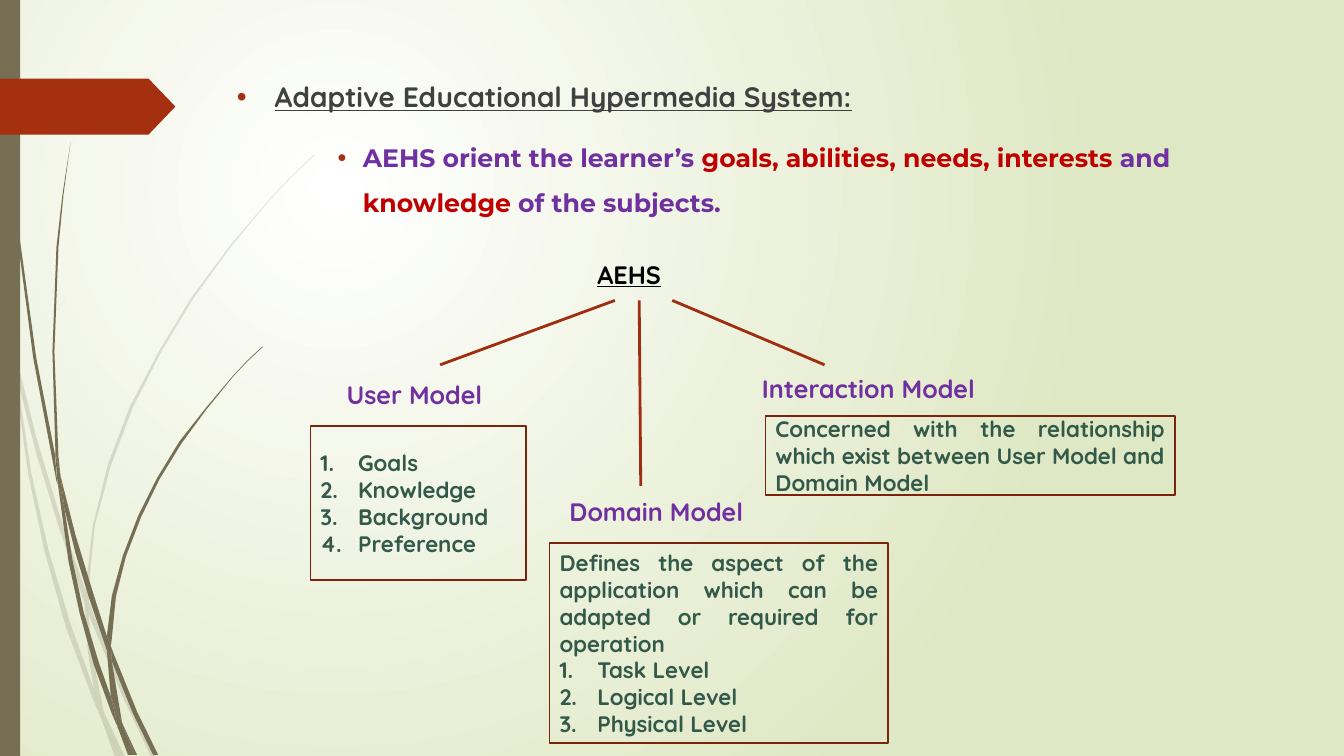
from typing import NamedTuple

from lxml.etree import SubElement
from pptx import Presentation
from pptx.dml.color import RGBColor
from pptx.enum.shapes import MSO_CONNECTOR, MSO_SHAPE
from pptx.enum.text import MSO_ANCHOR, MSO_AUTO_SIZE, PP_ALIGN
from pptx.oxml.ns import qn
from pptx.util import Pt

Point = tuple[float, float]

class Theme(NamedTuple):
    olive: str = "766F54"
    rust: str = "A53010"
    branch: str = "9E2E0F"
    border: str = "7A240C"
    purple: str = "7030A0"
    red: str = "C00000"
    green: str = "325949"
    grey: str = "404040"
    black: str = "000000"
    white: str = "FFFFFF"
    pale: str = "DFE8C4"
    display: str = "Quicksand"
    accent: str = "Montserrat"
    heading_size: float = 20
    label_size: float = 18
    box_size: float = 16

THEME = Theme()

class Label(NamedTuple):
    text: str
    left: float
    top: float
    width: float
    color: str = THEME.purple
    underline: bool = False

class Branch(NamedTuple):
    start: Point
    end: Point

class ModelBox(NamedTuple):
    left: float
    top: float
    width: float
    height: float
    intro: str = ""
    items: tuple[str, ...] = ()

# Grass blade outlines, in units of 0.72 pt
BLADE_UNIT = 0.72
FAINT_BLADES: list[list[Point]] = [
    [(11, 350), (9, 322), (0, 282), (0, 299), (10, 344)],
    [(58, 522), (84, 599), (85, 586), (62, 520), (36, 434), (14, 345), (17, 376), (36, 450)],
    [(92, 607), (88, 596), (88, 610), (123, 694), (150, 751), (155, 751), (127, 692)],
    [(119, 751), (124, 751), (105, 711)],
    [(93, 683), (70, 619), (48, 545), (31, 469), (17, 376), (11, 350), (28, 470), (44, 546), (65, 621),
     (92, 693), (101, 714), (99, 707)],
    [(84, 599), (87, 646), (93, 683), (96, 692), (105, 711), (103, 706), (91, 646), (88, 610), (88, 608)],
    [(88, 584), (94, 522), (110, 462), (132, 404), (160, 349), (192, 296), (229, 245), (268, 198), (290, 175),
     (312, 154), (312, 153), (289, 175), (268, 197), (228, 244), (190, 295), (158, 348), (129, 403), (107, 461),
     (92, 522), (85, 584), (85, 586), (88, 596)],
    [(101, 714), (114, 751), (119, 751)],
    [(88, 608), (88, 610), (88, 596), (85, 586), (84, 599)],
    [(96, 692), (93, 683), (99, 707), (101, 714), (119, 751), (105, 711)],
]
DARK_BLADES: list[list[Point]] = [
    [(7, 110), (17, 233), (33, 355), (56, 477), (57, 481), (55, 457), (55, 453), (36, 355), (19, 232), (8, 109),
     (5, 48), (4, 0), (3, 0), (4, 48)],
    [(88, 592), (106, 645), (106, 633), (106, 631), (93, 590), (75, 531), (60, 472), (64, 505), (75, 549)],
    [(113, 649), (110, 641), (111, 656), (132, 708), (152, 749), (157, 749), (136, 706)],
    [(110, 691), (98, 657), (83, 607), (72, 556), (64, 505), (57, 477), (68, 557), (79, 608), (93, 659),
     (111, 708), (117, 722), (116, 717)],
    [(60, 472), (58, 453), (54, 349), (58, 245), (63, 193), (70, 141), (62, 193), (56, 245), (52, 349), (55, 449)],
    [(133, 749), (136, 749), (122, 719)],
    [(57, 477), (64, 505), (60, 472), (55, 449), (55, 453)],
    [(111, 633), (115, 592), (125, 552), (140, 513), (158, 476), (180, 440), (205, 406), (231, 374), (245, 359),
     (261, 344), (260, 344), (245, 358), (231, 373), (204, 405), (178, 438), (156, 474), (137, 512), (122, 551),
     (111, 591), (106, 631), (110, 641)],
    [(117, 722), (127, 749), (131, 749)],
    [(106, 645), (110, 691), (116, 706), (122, 719), (121, 716), (111, 656), (109, 651)],
    [(106, 645), (109, 651), (111, 656), (110, 641), (106, 631)],
    [(116, 706), (110, 691), (116, 717), (117, 722), (130, 749), (133, 749), (122, 719)],
]
LABELS = [
    Label("AEHS", 419.6, 181.4, 176.4, THEME.black, True),
    Label("User Model", 240.5, 267.4, 115.9),
    Label("Domain Model", 399.6, 351, 147.6),
    Label("Interaction Model", 537.1, 263.1, 195.1),
]
BRANCHES = [
    Branch((439.2, 214.6), (314.4, 260.6)),
    Branch((456.6, 214.6), (457.7, 347)),
    Branch((480.2, 214.6), (589, 260.6)),
]
BOXES = [
    ModelBox(221.8, 304.2, 154.1, 110.2, items=("Goals", "Knowledge", "Background", "Preference")),
    ModelBox(392.6, 387.7, 241.9, 143.3,
             "Defines the aspect of the application which can be adapted or required for operation",
             ("Task Level", "Logical Level", "Physical Level")),
    ModelBox(546.8, 296.9, 292.3, 56.9,
             "Concerned with the relationship which exist between User Model and Domain Model"),
]

def rgb(color: str) -> RGBColor:
    return RGBColor.from_string(color)

def paint(shape, color: str) -> None:
    shape.shadow.inherit = False
    shape.fill.solid()
    shape.fill.fore_color.rgb = rgb(color)
    shape.line.fill.background()

def style(para, font: str, size: float, color: str, underline: bool = False) -> None:
    para.font.name, para.font.size, para.font.bold = font, Pt(size), True
    para.font.underline, para.font.color.rgb = underline, rgb(color)

def set_bullet(para, margin: float, hang: float, numbered: bool = False) -> None:
    props = para._p.get_or_add_pPr()
    props.set("marL", str(Pt(margin)))
    props.set("indent", str(-Pt(hang)))
    if numbered:
        SubElement(props, qn("a:buFont"), typeface="+mj-lt")
        SubElement(props, qn("a:buAutoNum"), type="arabicPeriod")
    else:
        SubElement(SubElement(props, qn("a:buClr")), qn("a:srgbClr"), val=THEME.rust)
        SubElement(props, qn("a:buFont"), typeface="Arial")
        SubElement(props, qn("a:buChar"), char="•")

def draw_background(page) -> None:
    fill = page.background.fill
    fill.gradient()
    for stop, color in zip(fill.gradient_stops, (THEME.white, THEME.pale)):
        stop.color.rgb = rgb(color)
    gradient = page.element.xpath("p:cSld/p:bg//a:gradFill")[0]
    gradient.remove(gradient.find(qn("a:lin")))
    circle = SubElement(gradient, qn("a:path"), path="circle")
    SubElement(circle, qn("a:fillToRect"), l="50000", t="50000", r="100000", b="100000")

def draw_blade(page, outline: list[Point], opacity: int) -> None:
    start, *rest = [(Pt(x * BLADE_UNIT), Pt(y * BLADE_UNIT)) for x, y in outline]
    builder = page.shapes.build_freeform(*start)
    builder.add_line_segments(rest, close=True)
    blade = builder.convert_to_shape()
    paint(blade, THEME.olive)
    if opacity < 100:
        color = blade._element.spPr.find(qn("a:solidFill"))[0]
        SubElement(color, qn("a:alpha"), val=str(opacity * 1000))

def fill_body(body) -> None:
    body.left, body.top, body.width, body.height = Pt(162), Pt(53.3), Pt(702), Pt(107.3)
    frame = body.text_frame
    frame.auto_size = MSO_AUTO_SIZE.NONE
    heading, detail = frame.paragraphs[0], frame.add_paragraph()
    heading.text = "Adaptive Educational Hypermedia System:"
    set_bullet(heading, 27, 27)
    style(heading, THEME.display, THEME.heading_size, THEME.grey, True)
    detail.level, detail.line_spacing = 1, 1.5
    set_bullet(detail, 90, 18)
    style(detail, THEME.accent, THEME.label_size, THEME.purple)
    heading.space_before = detail.space_before = Pt(10)
    for text, color in (("AEHS orient the learner’s ", THEME.purple), ("goals, abilities, needs, interests ", THEME.red),
                        ("and ", THEME.purple), ("knowledge", THEME.red), (" of the subjects.", THEME.purple)):
        span = detail.add_run()
        span.text, span.font.color.rgb = text, rgb(color)

def draw_label(page, label: Label) -> None:
    box = page.shapes.add_textbox(Pt(label.left), Pt(label.top), Pt(label.width), Pt(28.8))
    box.text_frame.word_wrap = True
    para = box.text_frame.paragraphs[0]
    para.text = label.text
    style(para, THEME.display, THEME.label_size, label.color, label.underline)

def draw_branch(page, branch: Branch) -> None:
    line = page.shapes.add_connector(MSO_CONNECTOR.STRAIGHT, *map(Pt, branch.start + branch.end))
    line.line.color.rgb, line.line.width = rgb(THEME.branch), Pt(2)
    SubElement(line._element.spPr, qn("a:effectLst"))

def draw_box(page, model: ModelBox) -> None:
    box = page.shapes.add_shape(MSO_SHAPE.RECTANGLE, *map(Pt, model[:4]))
    box.shadow.inherit = False
    box.fill.background()
    box.line.color.rgb, box.line.width = rgb(THEME.border), Pt(1.25)
    frame = box.text_frame
    frame.word_wrap, frame.vertical_anchor = True, MSO_ANCHOR.MIDDLE
    for index, text in enumerate(filter(None, (model.intro, *model.items))):
        para = frame.add_paragraph() if index else frame.paragraphs[0]
        para.text, para.alignment = text, PP_ALIGN.JUSTIFY
        if text in model.items:
            set_bullet(para, 27, 27, numbered=True)
        style(para, THEME.display, THEME.box_size, THEME.green)

def main() -> None:
    deck = Presentation()
    deck.slide_width, deck.slide_height = Pt(960), Pt(540)
    page = deck.slides.add_slide(deck.slide_layouts[1])
    title = page.shapes.title.element
    title.getparent().remove(title)
    # Backdrop
    draw_background(page)
    for blades, opacity in ((FAINT_BLADES, 20), (DARK_BLADES, 100)):
        for outline in blades:
            draw_blade(page, outline, opacity)
    strip = page.shapes.add_shape(MSO_SHAPE.RECTANGLE, 0, 0, Pt(14.4), Pt(540))
    banner = page.shapes.add_shape(MSO_SHAPE.PENTAGON, 0, Pt(56.2), Pt(125.3), Pt(39.9))
    banner.adjustments[0] = 0.48
    paint(strip, THEME.olive)
    paint(banner, THEME.rust)
    # Text and model tree
    fill_body(page.placeholders[1])
    for draw, parts in ((draw_branch, BRANCHES), (draw_label, LABELS), (draw_box, BOXES)):
        for part in parts:
            draw(page, part)
    deck.save("out.pptx")

if __name__ == "__main__":
    main()
